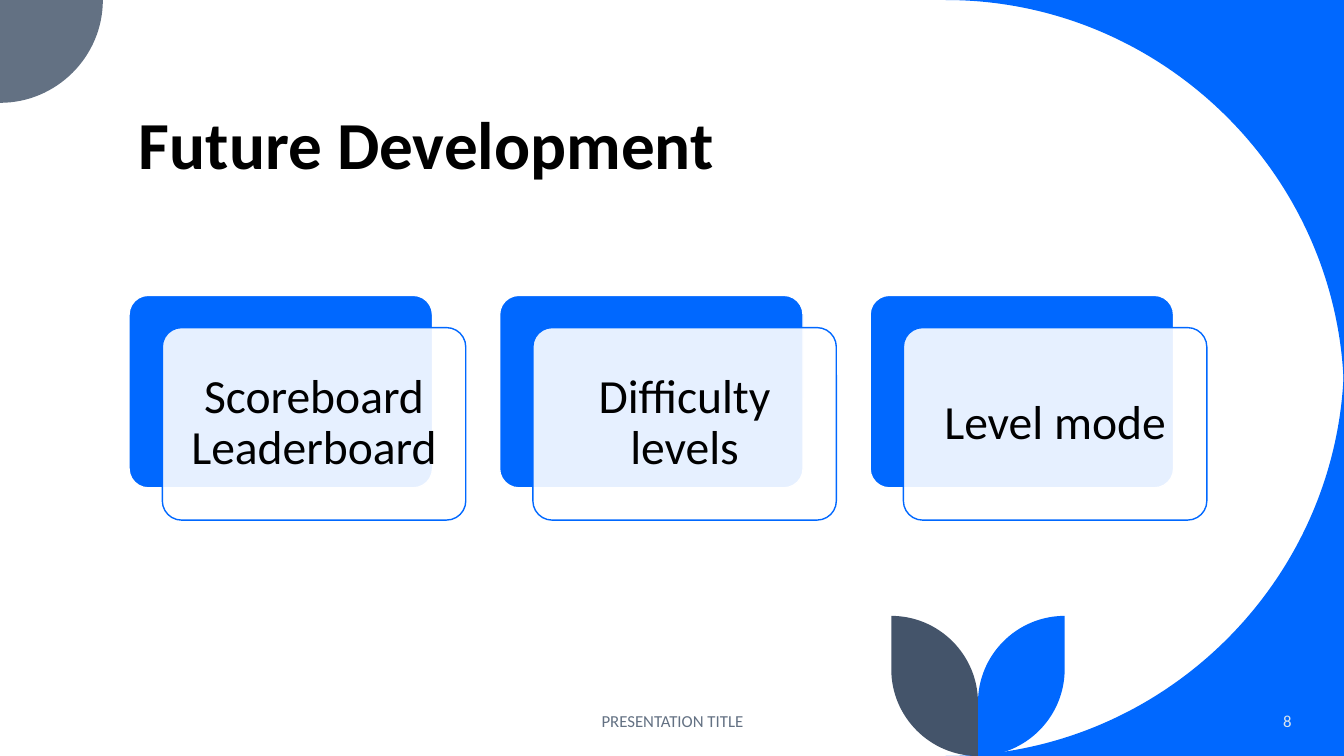
from lxml.etree import SubElement
from pptx import Presentation
from pptx.dml.color import RGBColor
from pptx.enum.shapes import MSO_SHAPE
from pptx.enum.text import MSO_ANCHOR, PP_ALIGN
from pptx.oxml.ns import qn
from pptx.util import Inches, Pt

BLUE = RGBColor(0x00, 0x68, 0xFF)
SLATE = RGBColor(0x44, 0x54, 0x6A)
GREY = RGBColor(0x63, 0x71, 0x83)
PALE = RGBColor(0xDA, 0xE5, 0xEF)
WHITE = RGBColor(0xFF, 0xFF, 0xFF)
BLACK = RGBColor(0x00, 0x00, 0x00)
WIDTH, HEIGHT = 13.33, 7.5

prs = Presentation()
prs.slide_width, prs.slide_height = Inches(WIDTH), Inches(HEIGHT)
slide = prs.slides.add_slide(prs.slide_layouts[6])
shapes = slide.shapes


def quarter_arc(start, corner, end):
    """Return the two control points and the end of a quarter circle bulging to corner."""
    controls = [tuple(p + 0.55 * (c - p) for p, c in zip(point, corner))
                for point in (start, end)]
    return controls + [end]


def write(shape, text, size, color, align, anchor, bold=False):
    """Put one formatted, wrapped run of text into a shape."""
    frame = shape.text_frame
    frame.word_wrap = True
    frame.vertical_anchor = anchor
    paragraph = frame.paragraphs[0]
    paragraph.alignment = align
    paragraph.line_spacing = 0.9 if size > 12 else 1.0
    run = paragraph.add_run()
    run.text = text
    run.font.name, run.font.size, run.font.bold = "Calibri", Pt(size), bold
    run.font.color.rgb = color


# Background curves and the two mirrored leaves: each segment holds one point
# for a straight line or three for a curve
big, small = 3.95, 1.02
center = WIDTH - big
stem, leaf_top = 9.7, 6.11
outlines = [
    ([[(WIDTH, 0)], [(center, 0)],
      quarter_arc((center, 0), (WIDTH, 0), (WIDTH, big))], BLUE),
    ([[(WIDTH, HEIGHT)], [(WIDTH, HEIGHT - big)],
      quarter_arc((WIDTH, HEIGHT - big), (WIDTH, HEIGHT), (center, HEIGHT))], BLUE),
    ([[(0, 0)], [(small, 0)],
      quarter_arc((small, 0), (small, small), (0, small))], GREY),
]
for tip, color in [(stem + 0.86, BLUE), (stem - 0.86, SLATE)]:
    outlines.append((
        [[(tip, leaf_top)], [(tip, 6.64)],
         quarter_arc((tip, 6.64), (tip, HEIGHT), (stem, HEIGHT)), [(stem, 6.97)],
         quarter_arc((stem, 6.97), (stem, leaf_top), (tip, leaf_top))], color))

for segments, color in outlines:
    points = [(Inches(x), Inches(y)) for segment in segments for x, y in segment]
    builder = shapes.build_freeform(*points[0])
    builder.add_line_segments(points[1:])
    curve = builder.convert_to_shape()
    curve.shadow.inherit = False
    curve.fill.solid()
    curve.fill.fore_color.rgb = color
    curve.line.fill.background()
    # Merge each run of three lines into one Bezier curve
    lines = iter(list(curve._element.iter(qn("a:lnTo"))))
    for segment in segments[1:]:
        first, *others = [next(lines) for point in segment]
        if others:
            bezier = SubElement(first.getparent(), qn("a:cubicBezTo"))
            first.addprevious(bezier)
            for line in (first, *others):
                bezier.append(line[0])
                line.getparent().remove(line)

# Title, footer and slide number
captions = [
    ((1.28, 0.42, 10.69, 1.45), "Future Development", 48, BLACK,
     PP_ALIGN.LEFT, MSO_ANCHOR.BOTTOM, True),
    ((4.42, 6.95, 4.5, 0.4), "PRESENTATION TITLE", 12, GREY,
     PP_ALIGN.CENTER, MSO_ANCHOR.MIDDLE),
    ((11.1, 6.95, 1.81, 0.4), "8", 12, PALE, PP_ALIGN.RIGHT, MSO_ANCHOR.MIDDLE),
]
for box, *style in captions:
    write(shapes.add_textbox(*map(Inches, box)), *style)

# Each idea is a blue card with a translucent card offset over it
ideas = ["Scoreboard Leaderboard", "Difficulty levels", "Level mode"]
for index, idea in enumerate(ideas):
    left, top = 1.28 + 3.675 * index, 2.93
    for x, y, fill, line in [(left, top, BLUE, WHITE),
                             (left + 0.33, top + 0.32, WHITE, BLUE)]:
        card = shapes.add_shape(MSO_SHAPE.ROUNDED_RECTANGLE, Inches(x), Inches(y),
                                Inches(3.01), Inches(1.91))
        card.adjustments[0] = 0.1
        card.shadow.inherit = False
        card.fill.solid()
        card.fill.fore_color.rgb = fill
        card.line.color.rgb = line
        card.line.width = Pt(1)
    # The front card is the last one drawn
    front_color = card.fill._xPr.find(qn("a:solidFill"))[0]
    SubElement(front_color, qn("a:alpha"), val="90000")
    frame = card.text_frame
    frame.margin_left = frame.margin_right = Inches(0.14)
    frame.margin_top = frame.margin_bottom = Inches(0.14)
    write(card, idea, 34, BLACK, PP_ALIGN.CENTER, MSO_ANCHOR.MIDDLE)

prs.save("out.pptx")
